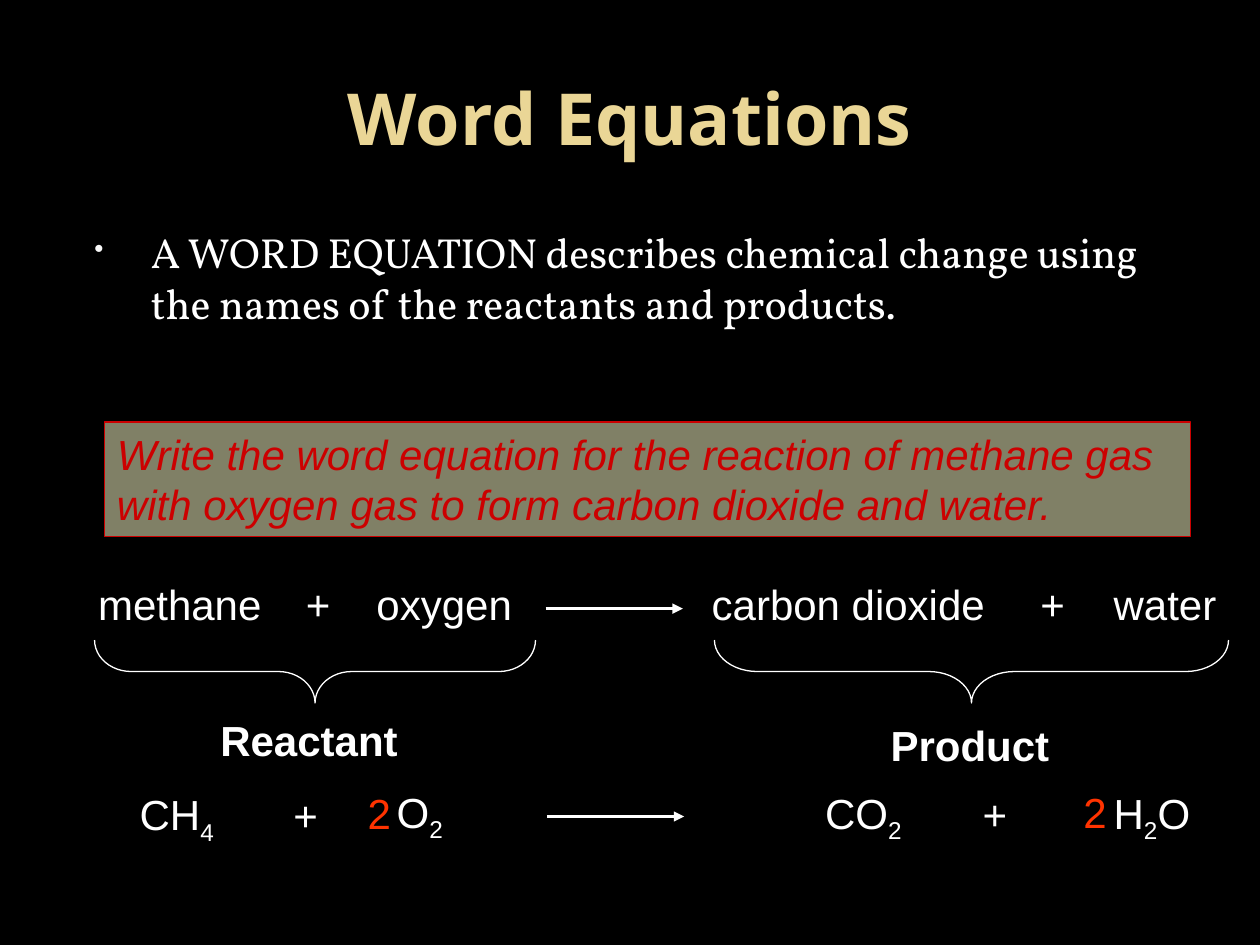
from lxml import etree
from pptx import Presentation
from pptx import util as u
from pptx.dml.color import RGBColor
from pptx.enum import shapes, text
from pptx.oxml import ns

COLORS = {"background": "000000", "title": "EAD696", "white": "FFFFFF", "bullet": "F9F9F9",
          "task": "CC0000", "task_fill": "FFFFCC", "coefficient": "FF3300"}

TITLE = "Word Equations"
DEFINITION = ("A WORD EQUATION describes chemical change using "
              "the names of the reactants and products.")
TASK = ("Write the word equation for the reaction of methane gas "
        "with oxygen gas to form carbon dioxide and water.")

# terms, left, top, width, tab stops
WORD_SIDES = [
    ("methane\t+\toxygen", 0.68, 4.54, 3.6, (1.65, 2.21)),
    ("carbon dioxide\t+\twater", 5.55, 4.54, 4.3, (2.61, 3.19)),
]
# left, top, width, height, curl
BRACES = [(2.25, 3.58, 0.5, 3.5, 0.583), (7.46, 3.29, 0.5, 4.08, 0.681)]
# text, left, top, width
SIDE_NAMES = [("Reactant", 1.65, 5.62, 1.61), ("Product", 6.97, 5.66, 1.46)]
FORMULAS = [
    ("CH4", 1.01, 6.21, 0.81), ("O2", 3.05, 6.19, 0.58),
    ("CO2", 6.45, 6.2, 0.82), ("H2O", 8.74, 6.2, 0.82),
    ("+", 2.23, 6.22, 0.4), ("+", 7.7, 6.21, 0.4),
]
COEFFICIENTS = [("2", 8.5, 6.19, 0.39), ("2", 2.82, 6.2, 0.39)]
# left, y
ARROWS = [(4.33, 4.83), (4.34, 6.48)]
ARROW_LENGTH = 1.09
LABEL_HEIGHT = 0.5


def rgb(name):
    return RGBColor.from_string(COLORS[name])


def box(*lengths):
    return [u.Inches(length) for length in lengths]


def add_xml(parent, tag, **attributes):
    return etree.SubElement(parent, ns.qn(tag), attributes)


def style(paragraph, color="white", size=24, name="Arial", bold=False, italic=False):
    font = paragraph.font
    font.name, font.size, font.bold, font.italic = name, u.Pt(size), bold, italic
    font.color.rgb = rgb(color)


def add_text(slide, content, left, top, width, height=LABEL_HEIGHT, wrap=False, **look):
    frame = slide.shapes.add_textbox(*box(left, top, width, height)).text_frame
    frame.word_wrap = wrap
    paragraph = frame.paragraphs[0]
    paragraph.text = content
    style(paragraph, **look)
    return paragraph


def add_formula(slide, formula, *place):
    paragraph = add_text(slide, "", *place)
    for symbol in formula:
        run = paragraph.add_run()
        run.text = symbol
        if symbol.isdigit():
            run._r.get_or_add_rPr().set("baseline", "-25000")


def add_arrow(slide, left, y):
    arrow = slide.shapes.add_connector(shapes.MSO_CONNECTOR.STRAIGHT,
                                       *box(left, y, left + ARROW_LENGTH, y))
    arrow.line.color.rgb = rgb("white")
    arrow.line.width = u.Pt(1.5)
    add_xml(arrow.line._get_or_add_ln(), "a:tailEnd", type="triangle")
    add_xml(arrow._element.spPr, "a:effectLst")


def add_brace(slide, left, top, width, height, curl):
    brace = slide.shapes.add_shape(shapes.MSO_SHAPE.RIGHT_BRACE, *box(left, top, width, height))
    brace.rotation = 90
    brace.adjustments[0], brace.adjustments[1] = curl, 0.5
    brace.shadow.inherit = False
    brace.fill.background()
    brace.line.color.rgb = rgb("white")
    brace.line.width = u.Pt(0.75)


def add_definition(slide):
    paragraph = add_text(slide, DEFINITION, 0.5, 1.75, 9, 1.19, wrap=True, name="Vollkorn")
    paragraph.space_before = u.Pt(4.8)
    properties = paragraph._p.get_or_add_pPr()
    properties.set("marL", str(u.Inches(0.6)))
    properties.set("indent", str(u.Inches(-0.45)))
    bullet = [etree.Element(ns.qn(tag)) for tag in ("a:buClr", "a:buSzPct", "a:buChar")]
    add_xml(bullet[0], "a:srgbClr", val=COLORS["bullet"])
    bullet[1].set("val", "65000")
    bullet[2].set("char", "•")
    for element in bullet:
        properties.find(ns.qn("a:defRPr")).addprevious(element)


def add_task(slide):
    task = slide.shapes.add_shape(shapes.MSO_SHAPE.RECTANGLE, *box(0.83, 3.35, 8.62, 0.91))
    task.shadow.inherit = False
    task.fill.solid()
    task.fill.fore_color.rgb = rgb("task_fill")
    fill_color = task._element.spPr.find(ns.qn("a:solidFill"))[0]
    add_xml(fill_color, "a:alpha", val="50000")
    task.line.color.rgb = rgb("task")
    task.line.width = u.Pt(0.75)
    frame = task.text_frame
    frame.word_wrap = True
    frame.vertical_anchor = text.MSO_ANCHOR.TOP
    paragraph = frame.paragraphs[0]
    paragraph.text = TASK
    paragraph.alignment = text.PP_ALIGN.LEFT
    style(paragraph, "task", italic=True)


def add_word_side(slide, terms, left, top, width, stops):
    paragraph = add_text(slide, terms, left, top, width, wrap=True)
    tabs = etree.Element(ns.qn("a:tabLst"))
    for stop in stops:
        add_xml(tabs, "a:tab", pos=str(u.Inches(stop)), algn="l")
    paragraph._p.get_or_add_pPr().find(ns.qn("a:defRPr")).addprevious(tabs)


def main():
    presentation = Presentation()
    presentation.slide_width, presentation.slide_height = box(10, 7.5)
    slide = presentation.slides.add_slide(presentation.slide_layouts[5])
    slide.background.fill.solid()
    slide.background.fill.fore_color.rgb = rgb("background")

    # Title
    title = slide.shapes.title
    title.left, title.top, title.width, title.height = box(0.5, 0.3, 9, 1.25)
    title.text_frame.text = TITLE
    title.text_frame.vertical_anchor = text.MSO_ANCHOR.MIDDLE
    heading = title.text_frame.paragraphs[0]
    heading.alignment = text.PP_ALIGN.CENTER
    style(heading, "title", 41, "Open Sans", bold=True)

    # Definition and task
    add_definition(slide)
    add_task(slide)

    # Word equation with its two sides named
    for side in WORD_SIDES:
        add_word_side(slide, *side)
    for brace in BRACES:
        add_brace(slide, *brace)
    for name in SIDE_NAMES:
        add_text(slide, *name, bold=True)

    # Formula equation
    for formula in FORMULAS:
        add_formula(slide, *formula)
    for coefficient in COEFFICIENTS:
        add_text(slide, *coefficient, color="coefficient")

    # Reaction arrows
    for arrow in ARROWS:
        add_arrow(slide, *arrow)

    presentation.save("out.pptx")


if __name__ == "__main__":
    main()
